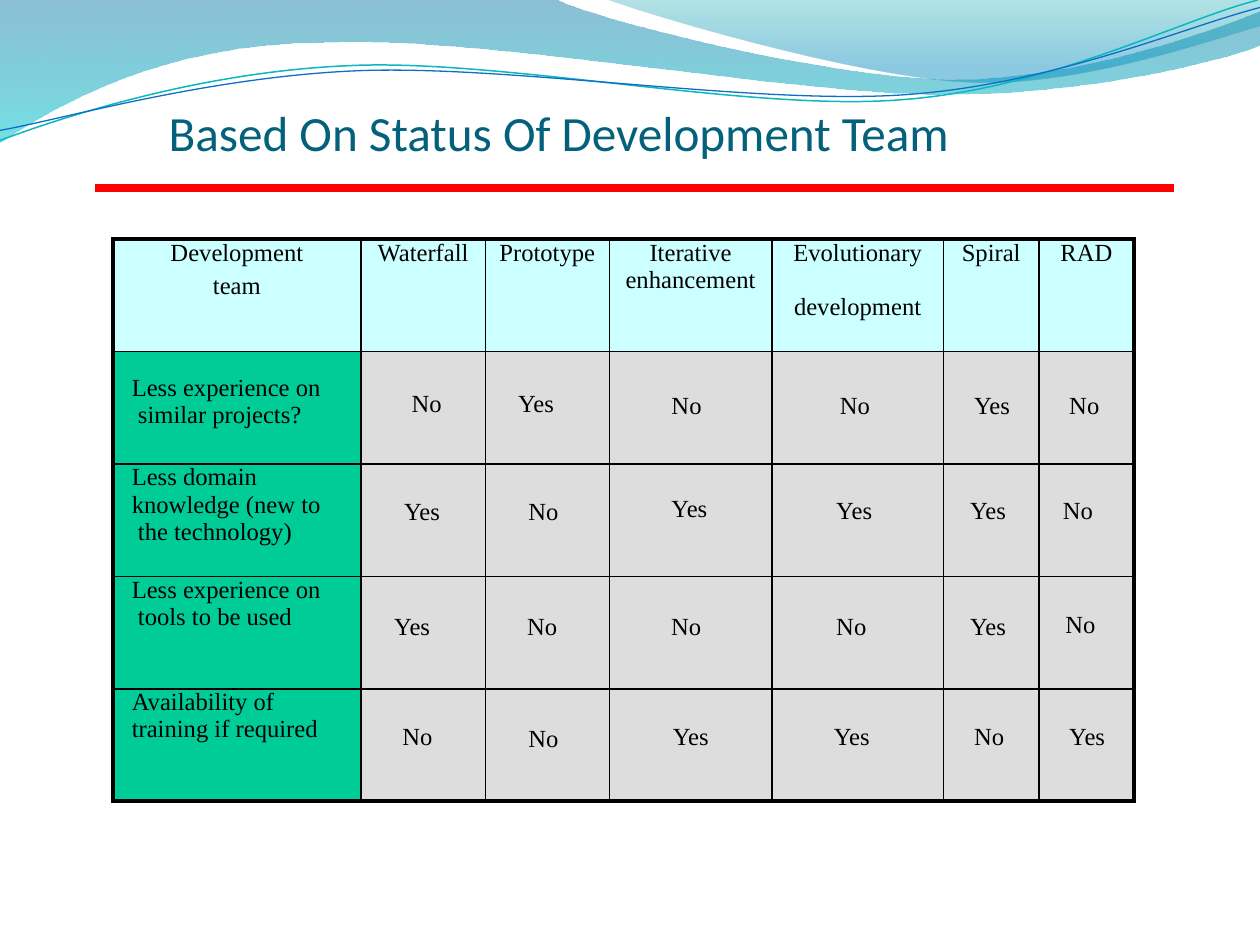
from lxml import etree
from pptx import Presentation
from pptx.dml.color import RGBColor
from pptx.enum.shapes import MSO_CONNECTOR
from pptx.enum.text import MSO_ANCHOR, MSO_AUTO_SIZE, PP_ALIGN
from pptx.oxml.ns import qn
from pptx.util import Pt

STRAIGHT = MSO_CONNECTOR.STRAIGHT
TOP, BOTTOM = MSO_ANCHOR.TOP, MSO_ANCHOR.BOTTOM
NO_AUTOFIT = MSO_AUTO_SIZE.NONE
LEFT, CENTER = PP_ALIGN.LEFT, PP_ALIGN.CENTER

SLIDE_WIDTH, SLIDE_HEIGHT = 717.12, 537.84
BLACK, HEADER_FILL, LABEL_FILL, ANSWER_FILL = "000000", "CCFFFF", "00CC98", "DDDDDD"
OUTER_BORDER, INNER_BORDER = 2.25, 1
LABEL_INDENT = 10.8

# Outlines in points: pairs are corners, sixes are Bezier curves.
BACK_WAVE = [
    (0, 0), (317, 0), (341.3, 12.2, 475.9, 45.4, 543.6, 45.4),
    (612, 45.4, 686.9, 18.7, 717.1, 6.5), (717.1, 25.9),
    (705, 31.7, 623.5, 54.7, 535, 54), (445.7, 54, 273.6, 20.2, 184.3, 24.5),
    (91.4, 25.2, 33.1, 59.8, 0, 81.4)]
FRONT_WAVE = [
    (345, 0), (365, 7.9, 488.9, 44.6, 551.5, 46.8),
    (613.4, 49.7, 689, 23, 717.1, 15.1), (717.1, 0)]
TEAL_LINE = [
    (0, 79.9), (34.6, 67, 113, 41, 198, 37.4),
    (283.7, 33.1, 424.8, 63.4, 511.2, 56.9), (596.9, 51.1, 672.5, 10.8, 716, 0)]
BLUE_LINE = [
    (0, 74.2), (33.8, 68.4, 117.4, 43.9, 203, 40.3),
    (288.7, 36.7, 428.4, 59.8, 514.1, 54), (599.8, 48.2, 674.6, 15.1, 717.1, 4.3)]

COLUMN_WIDTHS = [141.3, 70.7, 70.7, 92.4, 97.8, 54.2, 54.2]
ROW_HEIGHT = 64
# Each heading: its lines and the space between its paragraphs.
HEADINGS = [
    ("Development\nteam", 3.5), ("Waterfall", 0), ("Prototype", 0),
    ("Iterative\venhancement", 0), ("Evolutionary\ndevelopment", 15.5),
    ("Spiral", 0), ("RAD", 0)]
# Each row: label, its top margin, then (answer, left margin, top margin).
QUESTIONS = [
    ("Less experience on\v similar projects?", 13.3, [
        ("No", 28.8, 22.1), ("Yes", 18.7, 22.1), ("No", 35.3, 23.2),
        ("No", 38.7, 23.2), ("Yes", 17.3, 23.2), ("No", 17.3, 23.2)]),
    ("Less domain\vknowledge (new to\v the technology)", 0, [
        ("Yes", 24.5, 19.9), ("No", 24.5, 19.9), ("Yes", 35.3, 17.9),
        ("Yes", 36.7, 19.1), ("Yes", 15.1, 19.1), ("No", 13.7, 19.1)]),
    ("Less experience on\v tools to be used", 0, [
        ("Yes", 18.9, 21.1), ("No", 23.8, 21.1), ("No", 35.1, 21.1),
        ("No", 36.7, 21.1), ("Yes", 15.1, 21.1), ("No", 15.1, 20)]),
    ("Availability of\vtraining if required", 0, [
        ("No", 23.6, 19.9), ("No", 24.5, 21), ("Yes", 36.1, 19.9),
        ("Yes", 35.3, 19.9), ("No", 17.3, 19.9), ("Yes", 17.3, 19.9)]),
]


def color(hex_string):
    return RGBColor.from_string(hex_string)


def write(frame, text, font="Times New Roman", size=14, fill=BLACK, align=LEFT, gap=0):
    """Fill a text frame; gap is the space before each paragraph after the first."""
    frame.text = text
    for index, paragraph in enumerate(frame.paragraphs):
        paragraph.alignment = align
        paragraph.space_before = Pt(gap if index else 0)
        for run in paragraph.runs:
            run.font.name = font
            run.font.size = Pt(size)
            run.font.color.rgb = color(fill)


def add_outline(slide, outline, close):
    """Draw straight segments between the end points, then bend the curved ones."""
    ends = [(Pt(segment[-2]), Pt(segment[-1])) for segment in outline]
    builder = slide.shapes.build_freeform(*ends[0])
    builder.add_line_segments(ends[1:], close=close)
    shape = builder.convert_to_shape()
    shape.shadow.inherit = False
    lines = list(shape._element.spPr.iter(qn("a:lnTo")))
    for line, segment in zip(lines, outline[1:]):
        if len(segment) == 6:
            line.tag = qn("a:cubicBezTo")
            for index in (0, 1):
                x, y = segment[2 * index:2 * index + 2]
                control = etree.Element(
                    qn("a:pt"), x=str(Pt(x) - shape.left), y=str(Pt(y) - shape.top))
                line.insert(index, control)
    return shape


def add_wave(slide, outline, stops):
    """Draw a filled wave; stops are (position, colour, opacity percent)."""
    shape = add_outline(slide, outline, close=True)
    shape.line.fill.background()
    shape.fill.gradient()
    shape.fill.gradient_angle = 270
    for stop, (position, hex_string, _) in zip(shape.fill.gradient_stops, stops):
        stop.position = position
        stop.color.rgb = color(hex_string)
    gradient = shape._element.spPr.find(qn("a:gradFill"))
    for element, (_, _, opacity) in zip(gradient.iter(qn("a:srgbClr")), stops):
        etree.SubElement(element, qn("a:alpha"), val=str(opacity * 1000))


def add_wave_line(slide, outline, hex_string, width):
    shape = add_outline(slide, outline, close=False)
    shape.fill.background()
    shape.line.color.rgb = color(hex_string)
    shape.line.width = Pt(width)


def add_rule(slide, left, right, y, hex_string, width):
    connector = slide.shapes.add_connector(STRAIGHT, Pt(left), Pt(y), Pt(right), Pt(y))
    connector.line.color.rgb = color(hex_string)
    connector.line.width = Pt(width)
    etree.SubElement(connector._element.spPr, qn("a:effectLst"))


def format_title(title, text):
    title.left, title.top, title.width, title.height = Pt(95), Pt(58), Pt(510.5), Pt(33.8)
    frame = title.text_frame
    frame.margin_left = Pt(1)
    frame.margin_right = frame.margin_top = frame.margin_bottom = 0
    frame.vertical_anchor = BOTTOM
    frame.auto_size = NO_AUTOFIT
    frame.word_wrap = True
    write(frame, text, font="Calibri", size=28, fill="04617B")


def set_borders(cell, widths):
    """Set black borders; widths are left, right, top, bottom."""
    properties = cell._tc.get_or_add_tcPr()
    for index, (side, width) in enumerate(zip("LRTB", widths)):
        border = etree.Element(qn("a:ln" + side), w=str(Pt(width)))
        solid = etree.SubElement(border, qn("a:solidFill"))
        etree.SubElement(solid, qn("a:srgbClr"), val=BLACK)
        properties.insert(index, border)


def fill_cell(cell, text, fill, left=0, top=0, **text_format):
    cell.margin_left, cell.margin_top = Pt(left), Pt(top)
    cell.margin_right = cell.margin_bottom = 0
    cell.vertical_anchor = TOP
    cell.fill.solid()
    cell.fill.fore_color.rgb = color(fill)
    write(cell.text_frame, text, **text_format)


def add_team_table(slide, left, top):
    row_count, column_count = len(QUESTIONS) + 1, len(HEADINGS)
    table = slide.shapes.add_table(
        row_count, column_count, Pt(left), Pt(top),
        Pt(sum(COLUMN_WIDTHS)), Pt(ROW_HEIGHT * row_count)).table
    table.first_row = table.horz_banding = False
    for column, width in zip(table.columns, COLUMN_WIDTHS):
        column.width = Pt(width)
    for row in table.rows:
        row.height = Pt(ROW_HEIGHT)

    for column, (heading, gap) in enumerate(HEADINGS):
        fill_cell(table.cell(0, column), heading, HEADER_FILL, align=CENTER, gap=gap)
    for row, (label, label_top, answers) in enumerate(QUESTIONS, 1):
        fill_cell(table.cell(row, 0), label, LABEL_FILL, LABEL_INDENT, label_top)
        for column, (answer, indent, drop) in enumerate(answers, 1):
            fill_cell(table.cell(row, column), answer, ANSWER_FILL, indent, drop)

    for row in range(row_count):
        for column in range(column_count):
            on_edge = (column == 0, column == column_count - 1, row == 0, row == row_count - 1)
            set_borders(table.cell(row, column),
                        [OUTER_BORDER if edge else INNER_BORDER for edge in on_edge])


def main():
    presentation = Presentation()
    presentation.slide_width, presentation.slide_height = Pt(SLIDE_WIDTH), Pt(SLIDE_HEIGHT)
    slide = presentation.slides.add_slide(presentation.slide_layouts.get_by_name("Title Only"))
    add_wave(slide, BACK_WAVE, [(0, "0074A1", 45), (1, "00C6CF", 55)])
    add_wave(slide, FRONT_WAVE, [(0, "00A1A9", 30), (0.8, "008BBF", 45)])
    add_wave_line(slide, TEAL_LINE, "0AB8BF", 0.85)
    add_wave_line(slide, BLUE_LINE, "0F6FC6", 0.75)
    format_title(slide.shapes.title, "Based On Status Of Development Team")
    add_rule(slide, 54, 668, 107.2, "FF0000", 4.5)
    add_team_table(slide, 64.2, 136.1)
    presentation.save("out.pptx")


if __name__ == "__main__":
    main()
